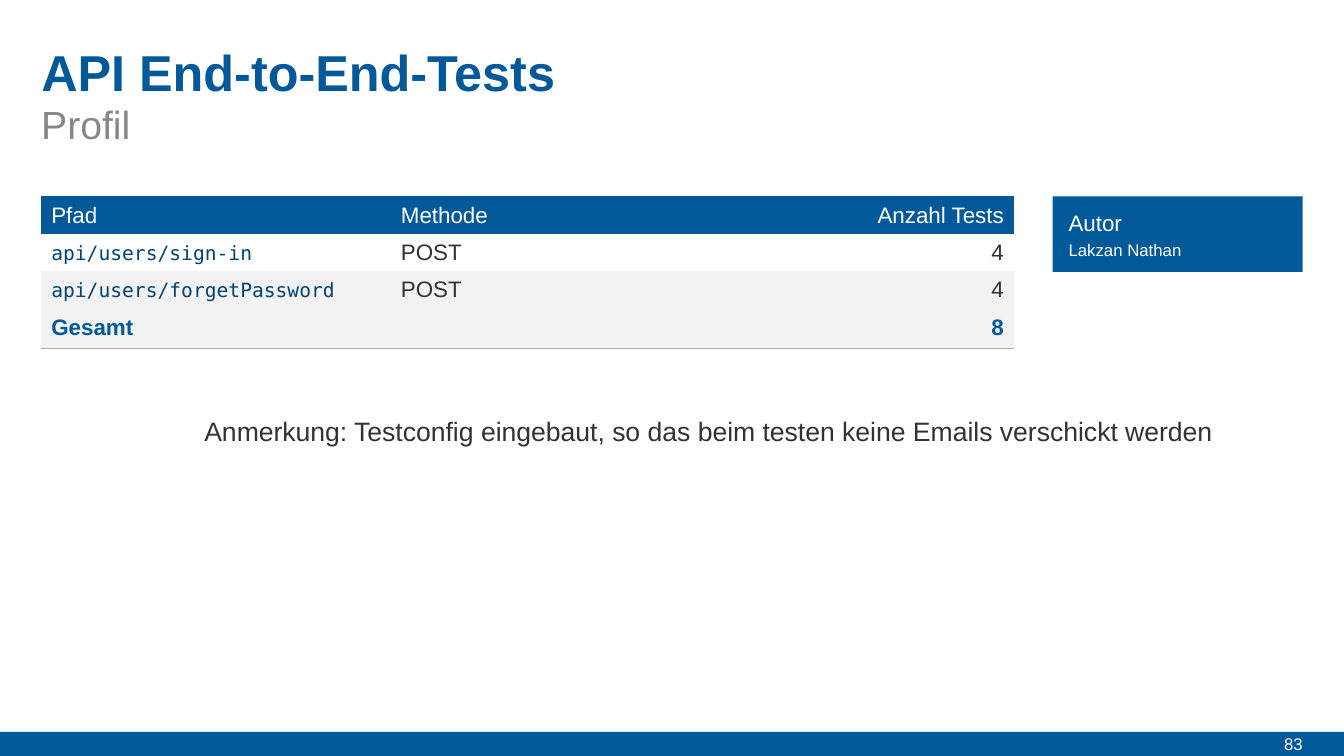
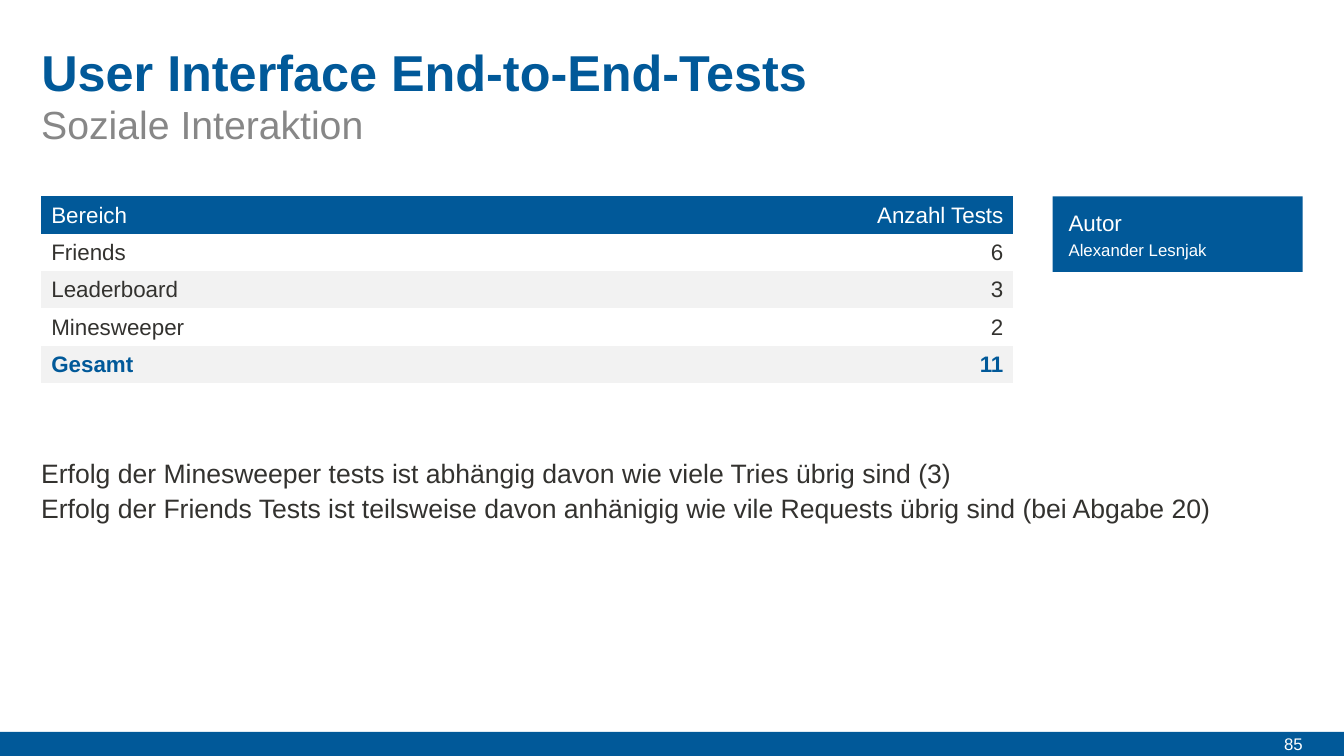
"""Build two slides that summarise end-to-end test results."""
from dataclasses import dataclass

from lxml.etree import SubElement
from pptx import Presentation
from pptx.dml.color import RGBColor
from pptx.enum.shapes import MSO_SHAPE
from pptx.enum.text import MSO_ANCHOR, MSO_AUTO_SIZE, PP_ALIGN
from pptx.oxml.ns import qn
from pptx.util import Cm, Pt

SLIDES = [
    {
        "number": "83",
        "title": "API End-to-End-Tests",
        "subtitle": "Profil",
        "columns": [8.81, 7.52, 8.18],
        "rows": [
            ("Pfad", "Methode", "Anzahl Tests"),
            ("api/users/sign-in", "POST", "4"),
            ("api/users/forgetPassword", "POST", "4"),
            ("Gesamt", "", "8"),
        ],
        "code_paths": True,
        "closing_rule": True,
        "author": "Lakzan Nathan",
        "notes": ["Anmerkung: Testconfig eingebaut, so das beim testen keine Emails verschickt werden"],
        "notes_area": (4.9, 10.26, 26.29, 1.09),
    },
    {
        "number": "85",
        "title": "User Interface End-to-End-Tests",
        "subtitle": "Soziale Interaktion",
        "columns": [12.25, 12.25],
        "rows": [
            ("Bereich", "Anzahl Tests"),
            ("Friends", "6"),
            ("Leaderboard", "3"),
            ("Minesweeper", "2"),
            ("Gesamt", "11"),
        ],
        "code_paths": False,
        "closing_rule": False,
        "author": "Alexander Lesnjak",
        "notes": [
            "Erfolg der Minesweeper tests ist abhängig davon wie viele Tries übrig sind (3)",
            "Erfolg der Friends Tests ist teilsweise davon anhänigig wie vile Requests übrig sind (bei Abgabe 20)",
        ],
        "notes_area": (0.79, 11.3, 30.4, 1.98),
    },
]

WIDTH, HEIGHT = 33.87, 19.05
MARGIN = 1.04
CONTENT_WIDTH = 24.51
CONTENT_TOP = 4.95
ROW_HEIGHT = 0.94
BAND_HEIGHT = 0.61
AUTHOR_WIDTH, AUTHOR_HEIGHT, AUTHOR_INSET = 6.3, 1.9, 0.4
PLAIN_TABLE_STYLE = "{2D5ABB26-0587-4C30-8999-92F81FD0307C}"


@dataclass(frozen=True)
class Theme:
    """Colours, fonts and type sizes of the deck."""
    blue: str = "015999"
    dark_blue: str = "014373"
    grey: str = "878787"
    rule: str = "A9A9A9"
    stripe: str = "F2F2F2"
    ink: str = "33322F"
    white: str = "FFFFFF"
    font: str = "Arial"
    code_font: str = "DejaVu Sans Mono"
    title: float = 36
    subtitle: float = 28
    note: float = 19
    body: float = 16
    code: float = 14
    small: float = 12


THEME = Theme()


def area(left, top, width, height):
    """Turn centimetres into slide lengths."""
    return Cm(left), Cm(top), Cm(width), Cm(height)


def write(frame, lines, size, color, bold=False, font=THEME.font, align=PP_ALIGN.LEFT, spacing=None):
    """Fill a text frame with equally formatted paragraphs."""
    frame.text = "\n".join(lines)
    for para in frame.paragraphs:
        para.alignment = align
        para.line_spacing = spacing
        for span in para.runs:
            span.font.name = font
            span.font.size = Pt(size)
            span.font.bold = bold
            span.font.color.rgb = RGBColor.from_string(color)


def clear_margins(frame):
    """Set all four insets of a text frame to zero."""
    frame.margin_left = frame.margin_top = frame.margin_right = frame.margin_bottom = 0


def add_text(page, place, text, size, color, anchor=MSO_ANCHOR.TOP, **style):
    """Add a wrapping text box without insets."""
    frame = page.shapes.add_textbox(*area(*place)).text_frame
    clear_margins(frame)
    frame.word_wrap = True
    frame.vertical_anchor = anchor
    write(frame, [text], size, color, **style)


def add_block(page, place):
    """Add a plain blue rectangle."""
    block = page.shapes.add_shape(MSO_SHAPE.RECTANGLE, *area(*place))
    block.shadow.inherit = False
    block.fill.solid()
    block.fill.fore_color.rgb = RGBColor.from_string(THEME.blue)
    block.line.fill.background()


def add_frame(page, content):
    """Add the footer band, page number, title and subtitle."""
    band_top = HEIGHT - BAND_HEIGHT
    add_block(page, (0, band_top, WIDTH, BAND_HEIGHT))
    add_text(page, (WIDTH - MARGIN - 1.88, band_top, 1.88, BAND_HEIGHT), content["number"],
             THEME.small, THEME.white, anchor=MSO_ANCHOR.MIDDLE, align=PP_ALIGN.RIGHT)
    title = page.shapes.title
    title.left, title.top, title.width, title.height = area(MARGIN, MARGIN, CONTENT_WIDTH, 1.57)
    frame = title.text_frame
    clear_margins(frame)
    frame.auto_size = MSO_AUTO_SIZE.NONE
    frame.vertical_anchor = MSO_ANCHOR.TOP
    write(frame, [content["title"]], THEME.title, THEME.blue, bold=True)
    add_text(page, (MARGIN, 2.41, CONTENT_WIDTH, 1.4), content["subtitle"],
             THEME.subtitle, THEME.grey, spacing=1.1)


def add_bottom_border(cell):
    """Draw a thin line under a table cell."""
    properties = cell._tc.get_or_add_tcPr()
    border = SubElement(properties, qn("a:lnB"), w=str(Pt(0.5)))
    fill = SubElement(border, qn("a:solidFill"))
    SubElement(fill, qn("a:srgbClr"), val=THEME.rule)
    properties.insert(0, border)


def add_results(page, content):
    """Add the striped table of test counts with its total row."""
    rows, columns = content["rows"], content["columns"]
    place = area(MARGIN, CONTENT_TOP, sum(columns), ROW_HEIGHT * len(rows))
    table = page.shapes.add_table(len(rows), len(columns), *place).table
    table._tbl.tblPr.find(qn("a:tableStyleId")).text = PLAIN_TABLE_STYLE
    table.horz_banding = False
    for column, width in zip(table.columns, columns):
        column.width = Cm(width)
    last_row, last_column = len(rows) - 1, len(columns) - 1
    for row_index, values in enumerate(rows):
        table.rows[row_index].height = Cm(ROW_HEIGHT)
        is_header, is_total = row_index == 0, row_index == last_row
        striped = is_total or row_index % 2 == 0
        fill = THEME.blue if is_header else THEME.stripe if striped else THEME.white
        color = THEME.white if is_header else THEME.blue if is_total else THEME.ink
        for column_index, value in enumerate(values):
            cell = table.cell(row_index, column_index)
            cell.fill.solid()
            cell.fill.fore_color.rgb = RGBColor.from_string(fill)
            style = {"size": THEME.body, "color": color, "bold": is_total}
            if content["code_paths"] and column_index == 0 and not (is_header or is_total):
                style.update(size=THEME.code, color=THEME.dark_blue, font=THEME.code_font)
            align = PP_ALIGN.RIGHT if column_index == last_column else PP_ALIGN.LEFT
            write(cell.text_frame, [value], align=align, spacing=Pt(19), **style)
            if is_total and content["closing_rule"]:
                add_bottom_border(cell)


def add_author(page, name):
    """Add the author card beside the table."""
    left = WIDTH - MARGIN - AUTHOR_WIDTH
    add_block(page, (left, CONTENT_TOP, AUTHOR_WIDTH, AUTHOR_HEIGHT))
    text_left, text_width = left + AUTHOR_INSET, AUTHOR_WIDTH - 2 * AUTHOR_INSET
    add_text(page, (text_left, 5.28, text_width, 0.68), "Autor",
             THEME.body, THEME.white, spacing=Pt(19))
    add_text(page, (text_left, 6.05, text_width, 0.5), name,
             THEME.small, THEME.white, spacing=Pt(14))


def add_notes(page, content):
    """Add the remarks below the table."""
    frame = page.shapes.add_textbox(*area(*content["notes_area"])).text_frame
    frame.word_wrap = False
    frame.auto_size = MSO_AUTO_SIZE.SHAPE_TO_FIT_TEXT
    write(frame, content["notes"], THEME.note, THEME.ink, spacing=1.1)


def main():
    """Build and save the deck."""
    deck = Presentation()
    deck.slide_width, deck.slide_height = Cm(WIDTH), Cm(HEIGHT)
    for content in SLIDES:
        page = deck.slides.add_slide(deck.slide_layouts[5])
        add_frame(page, content)
        add_results(page, content)
        add_author(page, content["author"])
        add_notes(page, content)
    deck.save("out.pptx")


if __name__ == "__main__":
    main()
